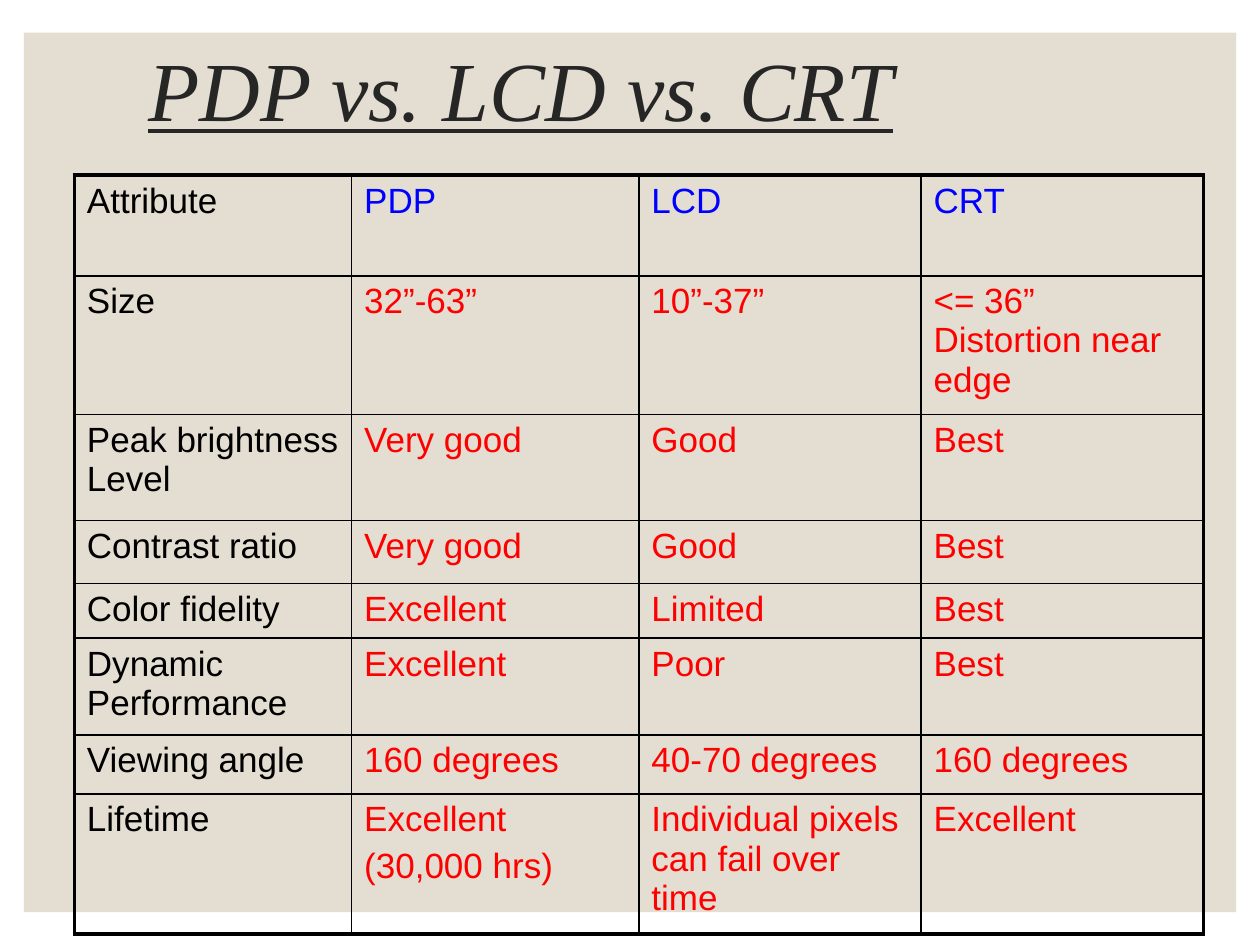
from lxml import etree
from pptx import Presentation
from pptx.dml.color import RGBColor
from pptx.enum.shapes import MSO_SHAPE
from pptx.enum.text import MSO_ANCHOR
from pptx.oxml.ns import qn
from pptx.util import Inches, Pt

RECTANGLE = MSO_SHAPE.RECTANGLE
MIDDLE = MSO_ANCHOR.MIDDLE
BEIGE = RGBColor(0xE3, 0xDE, 0xD1)
CHARCOAL = RGBColor(0x26, 0x26, 0x26)
BLACK = RGBColor(0, 0, 0)
BLUE = RGBColor(0, 0, 0xFF)
RED = RGBColor(0xFF, 0, 0)

COLUMN_WIDTHS = [2.2, 2.28, 2.24, 2.24]
ROW_HEIGHTS = [0.8, 0.83, 0.84, 0.5, 0.39, 0.47, 0.47, 1.11]
COMPARISON = [
    ["Attribute", "PDP", "LCD", "CRT"],
    ["Size", "32”-63”", "10”-37”", "<= 36” Distortion near edge"],
    ["Peak brightness Level", "Very good", "Good", "Best"],
    ["Contrast ratio", "Very good", "Good", "Best"],
    ["Color fidelity", "Excellent", "Limited", "Best"],
    ["Dynamic Performance", "Excellent", "Poor", "Best"],
    ["Viewing angle", "160 degrees", "40-70 degrees", "160 degrees"],
    ["Lifetime", "Excellent\n(30,000 hrs)", "Individual pixels can fail over time", "Excellent"],
]


def write_text(frame, text, *, font, size, color, italic=False, underline=False,
               line_spacing=None, space_before=None):
    frame.word_wrap = True
    for index, line in enumerate(text.split("\n")):
        paragraph = frame.add_paragraph() if index else frame.paragraphs[0]
        paragraph.line_spacing = line_spacing
        paragraph.space_before = space_before
        run = paragraph.add_run()
        run.text = line
        run.font.name = font
        run.font.size = Pt(size)
        run.font.color.rgb = color
        run.font.bold = False
        run.font.italic = italic
        run.font.underline = underline


def set_borders(cell, widths):
    properties = cell._tc.get_or_add_tcPr()
    for index, (side, width) in enumerate(widths.items()):
        border = etree.Element(qn(f"a:ln{side}"), w=str(Pt(width)))
        fill = etree.SubElement(border, qn("a:solidFill"))
        etree.SubElement(fill, qn("a:srgbClr"), val=str(BLACK))
        properties.insert(index, border)


class ComparisonSlide:
    title_style = dict(font="Times New Roman", size=48, color=CHARCOAL,
                       italic=True, underline=True, line_spacing=0.9)
    cell_style = dict(font="Arial", size=20, space_before=Pt(4))
    outer_border = 2.25
    inner_border = 1

    def __init__(self, presentation):
        self.slide = presentation.slides.add_slide(presentation.slide_layouts[6])

    def panel(self, left, top, width, height, color):
        panel = self.slide.shapes.add_shape(
            RECTANGLE, Inches(left), Inches(top), Inches(width), Inches(height))
        panel.shadow.inherit = False
        panel.fill.solid()
        panel.fill.fore_color.rgb = color
        panel.line.fill.background()

    def title(self, left, top, width, height, text):
        heading = self.slide.shapes.add_textbox(
            Inches(left), Inches(top), Inches(width), Inches(height))
        heading.text_frame.vertical_anchor = MIDDLE
        write_text(heading.text_frame, text, **self.title_style)

    def table(self, left, top, width, height, rows):
        last_row, last_column = len(rows) - 1, len(rows[0]) - 1
        table = self.slide.shapes.add_table(
            len(rows), len(rows[0]), Inches(left), Inches(top),
            Inches(width), Inches(height)).table
        table.first_row = False
        table.horz_banding = False
        for column, column_width in zip(table.columns, COLUMN_WIDTHS):
            column.width = Inches(column_width)
        for row, row_height in zip(table.rows, ROW_HEIGHTS):
            row.height = Inches(row_height)
        for r, row in enumerate(rows):
            for c, text in enumerate(row):
                cell = table.cell(r, c)
                cell.fill.background()
                color = BLACK if c == 0 else BLUE if r == 0 else RED
                write_text(cell.text_frame, text, color=color, **self.cell_style)
                edges = {"L": c == 0, "R": c == last_column,
                         "T": r == 0, "B": r == last_row}
                set_borders(cell, {
                    side: self.outer_border if outer else self.inner_border
                    for side, outer in edges.items()})


def main():
    presentation = Presentation()
    presentation.slide_width = Inches(10)
    presentation.slide_height = Inches(7.5)
    comparison = ComparisonSlide(presentation)
    comparison.panel(0.19, 0.26, 9.62, 6.98, BEIGE)
    comparison.title(1.08, 0, 8.25, 1.5, "PDP vs. LCD vs. CRT")
    comparison.table(0.59, 1.39, 8.98, 6.02, COMPARISON)
    presentation.save("out.pptx")


if __name__ == "__main__":
    main()
